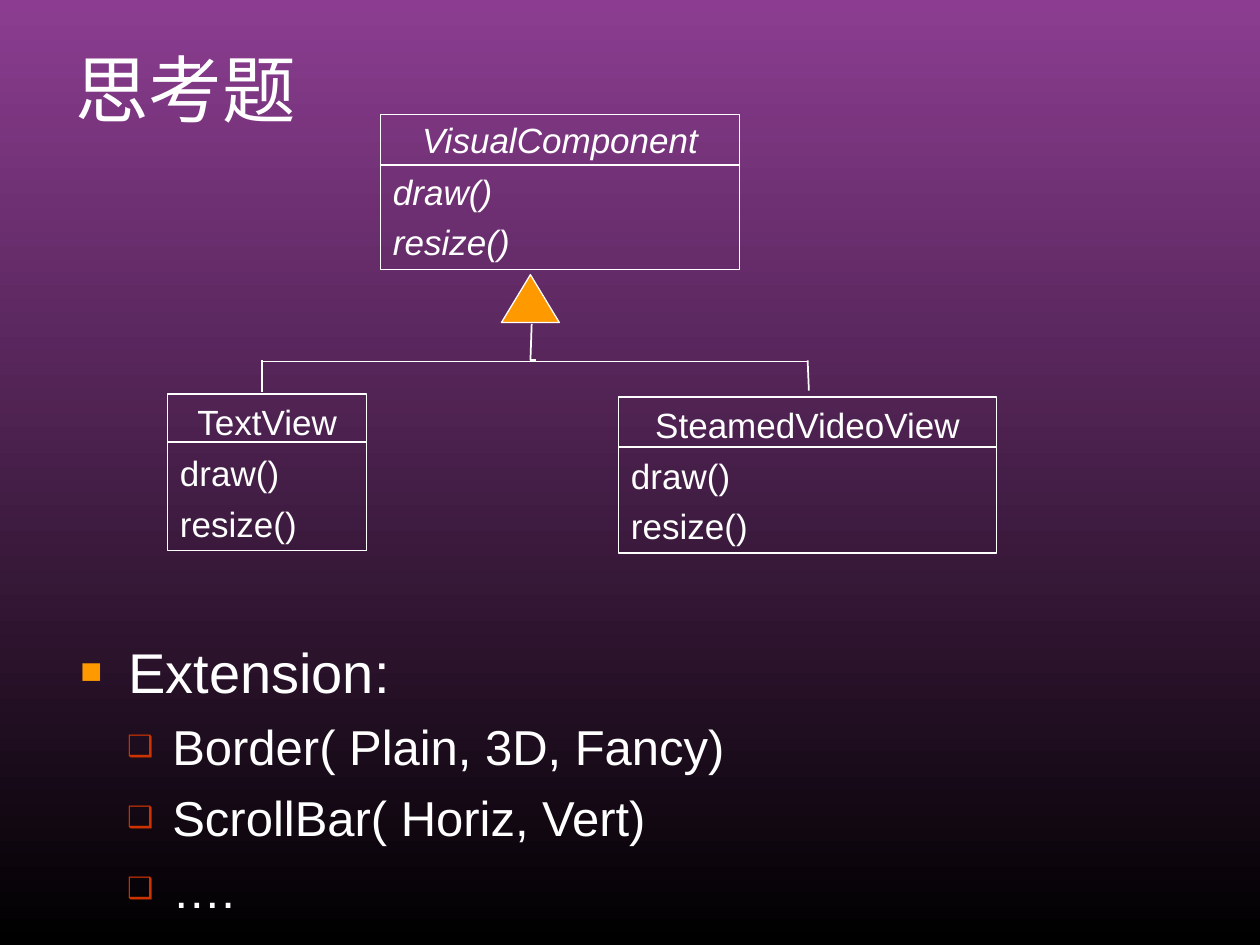
"""Build a slide with a class diagram and a list of possible extensions."""
import lxml.etree
import pptx
import pptx.dml.color
import pptx.enum.shapes
import pptx.enum.text
import pptx.oxml.ns
import pptx.util

Inches, Pt = pptx.util.Inches, pptx.util.Pt
RGB = pptx.dml.color.RGBColor.from_string
SHAPE = pptx.enum.shapes.MSO_SHAPE
ALIGN = pptx.enum.text.PP_ALIGN
qn = pptx.oxml.ns.qn

THEME = {
    "ink": "FFFFFF", "accent": "FF9900", "sub_bullet": "CC3300",
    "gradient": ("000000", "8C3D91"),
    "font": "Arial", "title_font": "Times New Roman",
    "title": 42, "list": (32, 28), "class": 20,
    "line": 1, "arrow_line": 0.75, "space_before": 25000,
}
FRAME = {
    "word_wrap": True,
    "margin_left": Inches(0.1), "margin_right": Inches(0.1),
    "margin_top": Inches(0.05), "margin_bottom": Inches(0.05),
}

TITLE = "思考题"
EXTENSIONS = [
    (0, "Extension:"),
    (1, "Border( Plain, 3D, Fancy)"),
    (1, "ScrollBar( Horiz, Vert)"),
    (1, "…."),
]
BULLETS = [
    {"char": "■", "color": THEME["accent"], "size": 65000, "left": 0.38, "hang": 0.38},
    {"char": "❑", "color": THEME["sub_bullet"], "size": 60000, "left": 0.73, "hang": 0.36},
]
METHODS = ["draw()", "resize()"]
CLASSES = [
    {"name": "VisualComponent", "at": (3.02, 0.91, 2.85, 1.23), "divider": 1.31,
     "italic": True, "leading": 0.95},
    {"name": "TextView", "at": (1.33, 3.13, 1.58, 1.24), "divider": 3.51,
     "italic": False, "leading": 1.0},
    {"name": "SteamedVideoView", "at": (4.91, 3.15, 3, 1.24), "divider": 3.55,
     "italic": False, "leading": 1.0},
]
ARROW = (3.98, 2.18, 0.46, 0.38)
BRANCHES = [
    (2.08, 2.86, 2.08, 3.11),
    (4.22, 2.57, 4.21, 2.86),
    (6.41, 2.87, 2.09, 2.87),
    (4.25, 2.86, 4.21, 2.86),
    (6.41, 2.86, 6.42, 3.1),
]


def apply(target, values):
    """Set each named attribute on the target."""
    for name, value in values.items():
        setattr(target, name, value)


def write(p, text, size, font=THEME["font"], italic=False):
    """Add one formatted run to a paragraph."""
    r = p.add_run()
    r.text = text
    apply(r.font, {"size": Pt(size), "name": font, "italic": italic})
    r.font.color.rgb = RGB(THEME["ink"])


def child(parent, tag, **attributes):
    """Append a drawing element with its attributes."""
    return lxml.etree.SubElement(parent, qn(tag), attributes)


def space_before(p):
    """Give a paragraph its proportional gap above."""
    gap = child(p._p.get_or_add_pPr(), "a:spcBef")
    child(gap, "a:spcPct", val=str(THEME["space_before"]))


def add_bullet(p, bullet):
    """Give a paragraph its hanging indent and bullet."""
    pPr = p._p.get_or_add_pPr()
    pPr.set("marL", str(Inches(bullet["left"])))
    pPr.set("indent", str(-Inches(bullet["hang"])))
    child(child(pPr, "a:buClr"), "a:srgbClr", val=bullet["color"])
    child(pPr, "a:buSzPct", val=str(bullet["size"]))
    child(pPr, "a:buFont", typeface=THEME["font"])
    child(pPr, "a:buChar", char=bullet["char"])


def paragraphs(tf, items):
    """Yield a paragraph with each item, starting with the existing one."""
    for i, item in enumerate(items):
        yield (tf.add_paragraph() if i else tf.paragraphs[0]), item


def add_text_box(s, at):
    """Add an empty wrapped text box and return its frame."""
    tf = s.shapes.add_textbox(*map(Inches, at)).text_frame
    apply(tf, FRAME)
    return tf


def add_line(s, ends):
    """Add a straight line without a shadow."""
    line = s.shapes.add_connector(
        pptx.enum.shapes.MSO_CONNECTOR.STRAIGHT, *map(Inches, ends))
    line.line.color.rgb = RGB(THEME["ink"])
    line.line.width = Pt(THEME["line"])
    child(line._element.spPr, "a:effectLst")


def add_outline(s, kind, at, width, fill=None):
    """Add an outlined preset shape, filled if a colour is given."""
    sp = s.shapes.add_shape(kind, *map(Inches, at))
    sp.shadow.inherit = False
    if fill:
        sp.fill.solid()
        sp.fill.fore_color.rgb = RGB(fill)
    else:
        sp.fill.background()
    sp.line.color.rgb = RGB(THEME["ink"])
    sp.line.width = Pt(width)
    return sp


def add_class(s, item):
    """Add a class box with its name, divider and methods."""
    left, top, width, height = item["at"]
    tf = add_outline(s, SHAPE.RECTANGLE, item["at"], THEME["line"]).text_frame
    apply(tf, {**FRAME, "vertical_anchor": pptx.enum.text.MSO_ANCHOR.MIDDLE,
               "auto_size": pptx.enum.text.MSO_AUTO_SIZE.SHAPE_TO_FIT_TEXT})
    for p, text in paragraphs(tf, [item["name"], *METHODS]):
        if text == item["name"]:
            apply(p, {"alignment": ALIGN.CENTER, "line_spacing": item["leading"]})
        else:
            p.alignment = ALIGN.LEFT
            space_before(p)
        write(p, text, THEME["class"], italic=item["italic"])
    add_line(s, (left, item["divider"], left + width, item["divider"]))


def main():
    """Assemble and save the slide."""
    prs = pptx.Presentation()
    apply(prs, {"slide_width": Inches(10), "slide_height": Inches(7.5)})
    s = prs.slides.add_slide(prs.slide_layouts[6])
    fill = s.background.fill
    fill.gradient()
    fill.gradient_angle = 90
    for stop, color in zip(fill.gradient_stops, THEME["gradient"]):
        stop.color.rgb = RGB(color)

    tf = add_text_box(s, (0.5, 0.3, 9, 1.25))
    write(tf.paragraphs[0], TITLE, THEME["title"], THEME["title_font"])

    tf = add_text_box(s, (0.54, 5.01, 7.8, 2.34))
    for p, (level, text) in paragraphs(tf, EXTENSIONS):
        p.level = level
        space_before(p)
        add_bullet(p, BULLETS[level])
        write(p, text, THEME["list"][level])

    for item in CLASSES:
        add_class(s, item)
    for ends in BRANCHES:
        add_line(s, ends)
    add_outline(s, SHAPE.ISOSCELES_TRIANGLE, ARROW, THEME["arrow_line"], THEME["accent"])
    prs.save("out.pptx")


if __name__ == "__main__":
    main()
